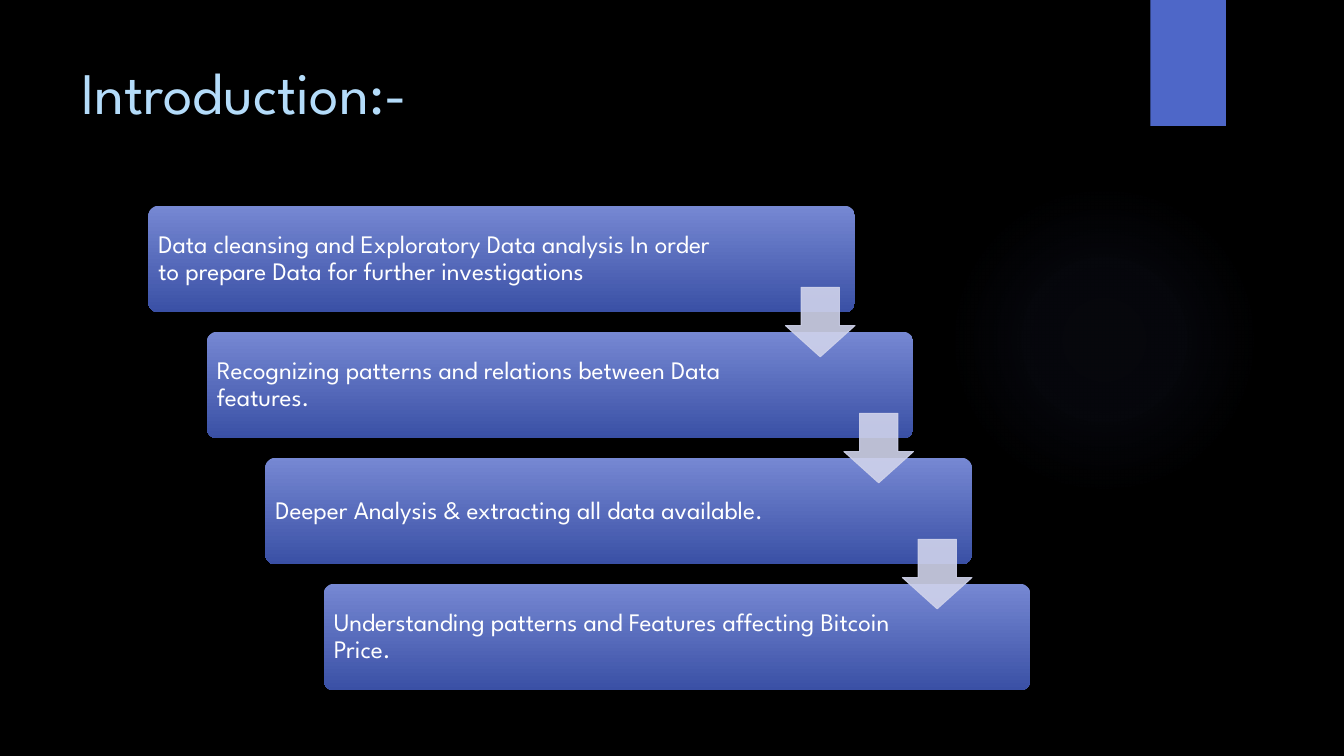
from lxml import etree
from pptx import Presentation
from pptx.dml.color import RGBColor as Color
from pptx.enum.shapes import MSO_SHAPE as Shape
from pptx.enum.text import MSO_ANCHOR as Anchor
from pptx.oxml import parse_xml
from pptx.oxml.ns import nsdecls, qn
from pptx.util import Inches, Pt

COLORS = {
    "background": "000000",
    "tab": "4E67C8",
    "glow": "5968B0",
    "title": "B4DCFA",
    "card_top": "7688D3",
    "card_bottom": "3A50A5",
    "arrow": "D0D3EB",
    "text": "FFFFFF",
}
STEPS = [
    "Data cleansing and Exploratory Data analysis In order to prepare Data for further investigations",
    "Recognizing patterns and relations between Data features.",
    "Deeper Analysis & extracting all data available.",
    "Understanding patterns and Features affecting Bitcoin Price.",
]
CARD_LEFT, CARD_TOP, CARD_WIDTH, CARD_HEIGHT = 1.47, 2.04, 7.01, 1.06
STEP_RIGHT, STEP_DOWN = 0.58, 1.25
ARROW_SIZE, ARROW_DROP = 0.69, 0.81
FONT = "League Spartan"


def color(name):
    return Color.from_string(COLORS[name])


def write_text(box, text, size, tone, anchor=Anchor.TOP, spacing=1.0, insets=(0.1, 0.05, 0.1, 0.05)):
    frame = box.text_frame
    frame.word_wrap = True
    frame.vertical_anchor = anchor
    (frame.margin_left, frame.margin_top,
     frame.margin_right, frame.margin_bottom) = map(Inches, insets)
    para = frame.paragraphs[0]
    para.alignment = 1
    para.line_spacing = spacing
    span = para.add_run()
    span.text = text
    span.font.name = FONT
    span.font.size = Pt(size)
    span.font.color.rgb = color(tone)


def set_opacity(fill_element, percent):
    tone = fill_element.find(".//" + qn("a:srgbClr"))
    etree.SubElement(tone, qn("a:alpha")).set("val", str(percent * 1000))


class SlideBuilder:
    def __init__(self, deck):
        self.page = deck.slides.add_slide(deck.slide_layouts[6])
        fill = self.page.background.fill
        fill.solid()
        fill.fore_color.rgb = color("background")

    def shape(self, kind, left, top, width, height, tone=None):
        box = self.page.shapes.add_shape(kind, *map(Inches, (left, top, width, height)))
        box.shadow.inherit = False
        box.line.fill.background()
        if tone:
            box.fill.solid()
            box.fill.fore_color.rgb = color(tone)
        return box

    def glow(self, left, top, size):
        box = self.shape(Shape.OVAL, left, top, size, size, "glow")
        stops = "".join(
            f'<a:gs pos="{place * 1000}"><a:srgbClr val="{COLORS["glow"]}">'
            f'<a:alpha val="{opacity * 1000}"/></a:srgbClr></a:gs>'
            for place, opacity in ((0, 7), (36, 6), (69, 0), (100, 0))
        )
        gradient = parse_xml(
            f'<a:gradFill {nsdecls("a")}><a:gsLst>{stops}</a:gsLst><a:path path="circle">'
            '<a:fillToRect l="50000" t="50000" r="50000" b="50000"/></a:path></a:gradFill>'
        )
        properties = box.element.spPr
        properties.replace(properties.find(qn("a:solidFill")), gradient)

    def title(self, text, left, top, width, height):
        box = self.page.shapes.add_textbox(*map(Inches, (left, top, width, height)))
        write_text(box, text, 42, "title")

    def card(self, text, left, top):
        box = self.shape(Shape.ROUNDED_RECTANGLE, left, top, CARD_WIDTH, CARD_HEIGHT)
        box.adjustments[0] = 0.1
        box.fill.gradient()
        box.fill.gradient_angle = 270
        for stop, tone, place in zip(box.fill.gradient_stops, ("card_top", "card_bottom"), (0, 1)):
            stop.color.rgb = color(tone)
            stop.position = place
        write_text(box, text, 18, "text", Anchor.MIDDLE, 0.9, (0.07, 0.07, 1.3, 0.07))

    def arrow(self, left, top):
        box = self.shape(Shape.DOWN_ARROW, left, top, ARROW_SIZE, ARROW_SIZE, "arrow")
        box.adjustments[0] = 0.55
        box.adjustments[1] = 0.45
        box.line.color.rgb = color("arrow")
        box.line.width = Pt(0.75)
        properties = box.element.spPr
        set_opacity(properties.find(qn("a:solidFill")), 90)
        set_opacity(properties.find(qn("a:ln")), 90)


def main():
    deck = Presentation()
    deck.slide_width, deck.slide_height = Inches(13.33), Inches(7.5)
    builder = SlideBuilder(deck)
    builder.glow(9.41, 1.83, 3.08)
    builder.shape(Shape.RECTANGLE, 11.41, 0, 0.75, 1.25, "tab")
    builder.title("Introduction:-", 0.71, 0.5, 10.29, 1.53)

    corners = [(CARD_LEFT + i * STEP_RIGHT, CARD_TOP + i * STEP_DOWN) for i in range(len(STEPS))]
    for text, (left, top) in zip(STEPS, corners):
        builder.card(text, left, top)
    for left, top in corners[:-1]:
        builder.arrow(left + CARD_WIDTH - ARROW_SIZE, top + ARROW_DROP)
    deck.save("out.pptx")


if __name__ == "__main__":
    main()
